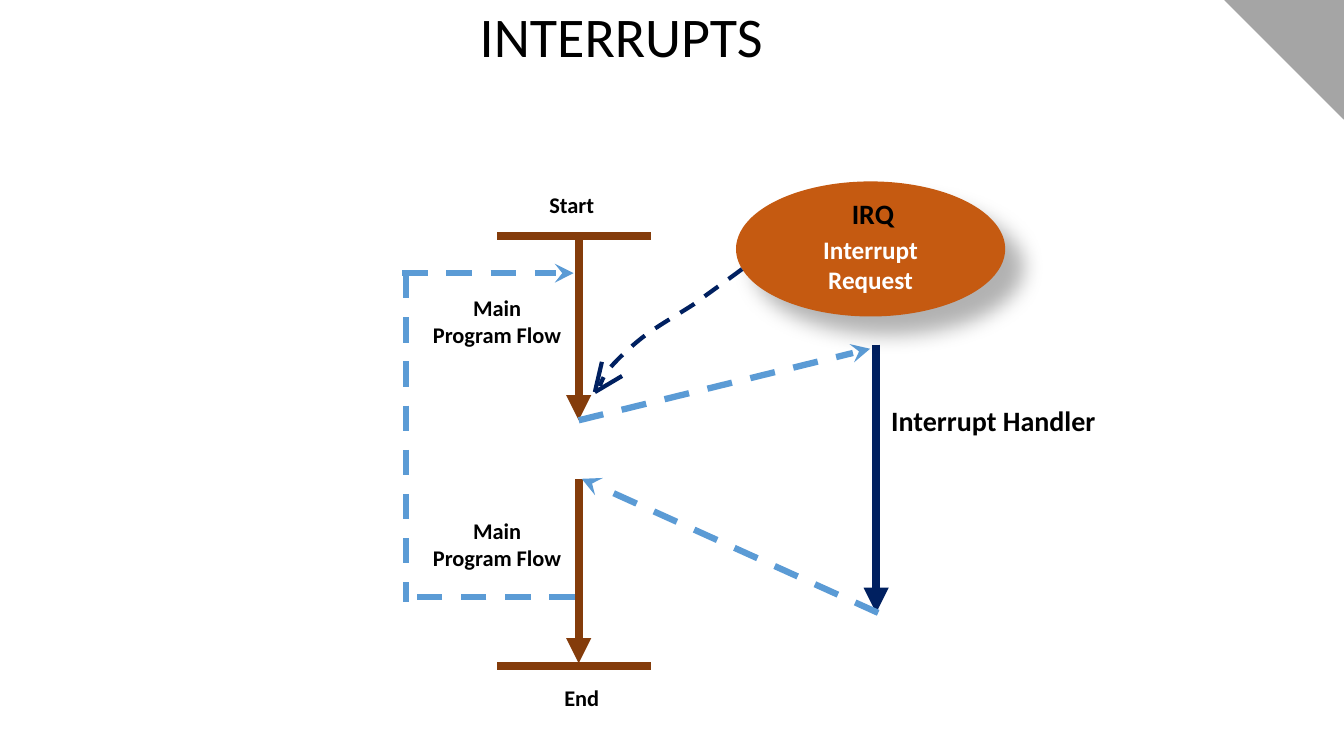
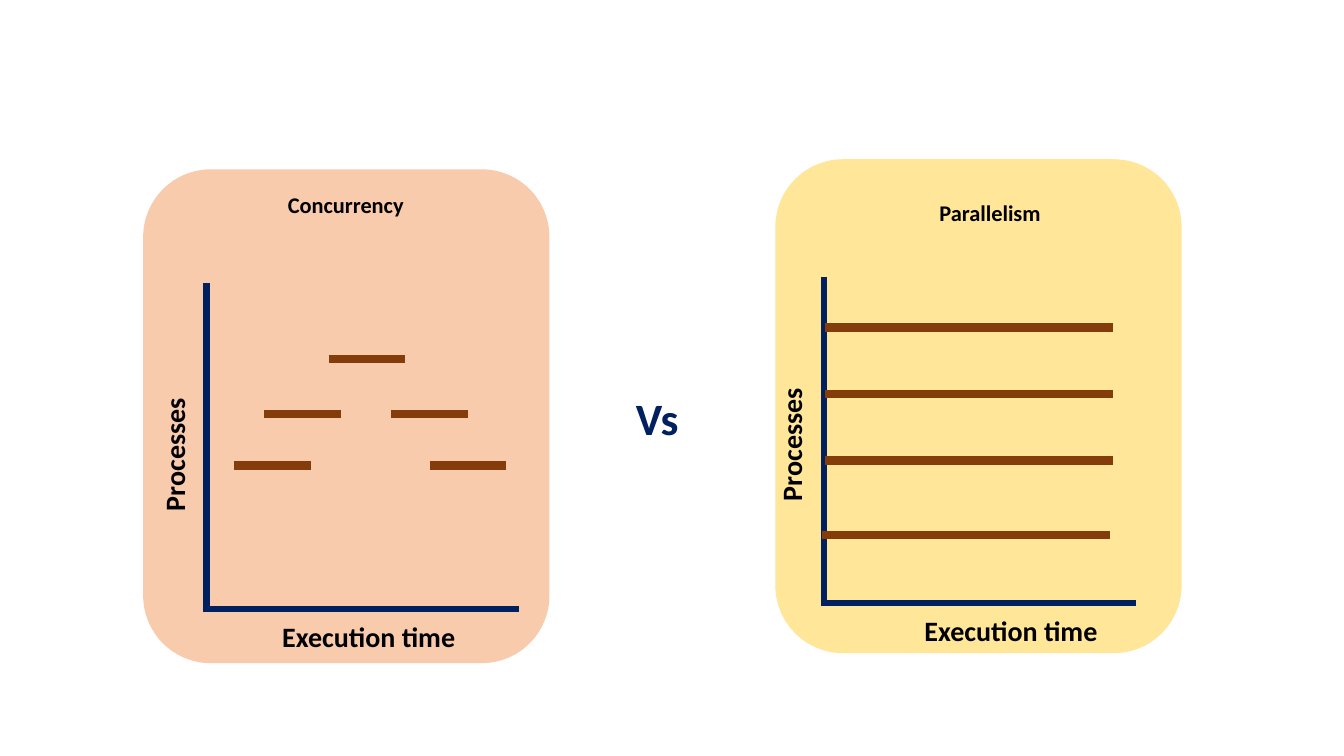
import lxml.etree
import pptx
import pptx.dml.color
import pptx.enum.dml
import pptx.enum.shapes
import pptx.enum.text
import pptx.oxml.ns
import pptx.util

Inches = pptx.util.Inches
SHAPES = pptx.enum.shapes.MSO_SHAPE
ALIGN = pptx.enum.text.PP_ALIGN
MIDDLE = pptx.enum.text.MSO_ANCHOR.MIDDLE

FONT = "Calibri"
BLACK, WHITE, GRAY = "000000", "FFFFFF", "A5A5A5"
NAVY, BROWN, BLUE, ORANGE = "002060", "843C0B", "5B9BD5", "C55A11"
PEACH, YELLOW = "F8CBAD", "FFE699"


def rgb(value):
    """Turn a hex string into a colour."""
    return pptx.dml.color.RGBColor.from_string(value)


def add_element(parent, tag, **attributes):
    """Append a drawing element with its attributes."""
    return lxml.etree.SubElement(parent, pptx.oxml.ns.qn(tag), attributes)


def write(paragraph, text, size, color=BLACK, bold=True):
    """Add one formatted run to a paragraph."""
    run = paragraph.add_run()
    run.text = text
    run.font.name = FONT
    run.font.size = pptx.util.Pt(size)
    run.font.bold = bold
    run.font.color.rgb = rgb(color)


def add_label(slide, box, text, size, color=BLACK, centered=False, rotation=0):
    """Place a bold label; centred labels wrap inside their box."""
    shape = slide.shapes.add_textbox(*map(Inches, box))
    shape.rotation = rotation
    frame = shape.text_frame
    frame.word_wrap = centered
    frame.auto_size = pptx.enum.text.MSO_AUTO_SIZE.SHAPE_TO_FIT_TEXT
    paragraph = frame.paragraphs[0]
    paragraph.alignment = ALIGN.CENTER if centered else ALIGN.LEFT
    write(paragraph, text, size, color)


def add_title(slide, text):
    """Write the slide title along the top edge."""
    frame = slide.shapes.add_textbox(
        Inches(4.66), Inches(-0.08), Inches(3.5), Inches(0.97)).text_frame
    frame.word_wrap = True
    frame.vertical_anchor = MIDDLE
    frame.paragraphs[0].line_spacing = 0.85
    write(frame.paragraphs[0], text, 40, bold=False)


def add_filled(slide, kind, box, color):
    """Place a flat preset shape without an outline."""
    shape = slide.shapes.add_shape(kind, *map(Inches, box))
    shape.shadow.inherit = False
    shape.fill.solid()
    shape.fill.fore_color.rgb = rgb(color)
    shape.line.fill.background()
    return shape


def style_line(line, color, width, dashed=False):
    """Set the colour, width and dash of a line."""
    line.color.rgb = rgb(color)
    line.width = pptx.util.Pt(width)
    if dashed:
        line.dash_style = pptx.enum.dml.MSO_LINE.DASH


def add_line(slide, start, end, color, width, dashed=False, arrow=None):
    """Draw a straight line, with an optional arrowhead at its end."""
    connector = slide.shapes.add_connector(
        pptx.enum.shapes.MSO_CONNECTOR.STRAIGHT, *map(Inches, (*start, *end)))
    style_line(connector.line, color, width, dashed)
    if arrow:
        add_element(connector.line._get_or_add_ln(), "a:tailEnd", type=arrow)
    add_element(connector._element.spPr, "a:effectLst")


def bezier_points(start, curves, steps=8):
    """List the points along a chain of cubic curves."""
    points = [start]
    for first, second, end in curves:
        for step in range(1, steps + 1):
            t = step / steps
            weights = ((1 - t) ** 3, 3 * t * (1 - t) ** 2, 3 * t * t * (1 - t), t ** 3)
            corners = (start, first, second, end)
            points.append(tuple(
                sum(weight * corner[axis] for weight, corner in zip(weights, corners))
                for axis in (0, 1)))
        start = end
    return points


def add_corner(slide):
    """Fill the top right corner with a triangle."""
    size = 1.18
    corner = add_filled(slide, SHAPES.RIGHT_TRIANGLE, (13.33 - size, 0, size, size), GRAY)
    corner.rotation = 180
    style_line(corner.line, GRAY, 1)


def add_main_flow(slide, left, top):
    """Draw the main program from start to end, with its return loop."""
    flow = left + 1.75
    for bar_top in (top + 0.49, top + 4.76):
        add_line(slide, (flow - 0.81, bar_top), (flow + 0.72, bar_top), BROWN, 6)
    for segment_top, label_top in ((0.49, 1.02), (2.9, 3.23)):
        add_line(slide, (flow, top + segment_top), (flow, top + segment_top + 1.83),
                 BROWN, 6, arrow="triangle")
        add_label(slide, (left + 0.19, top + label_top, 1.5, 0.64),
                  "Main Program Flow", 16, centered=True)
    add_line(slide, (flow - 0.04, top + 4.07), (left + 0.05, top + 4.07), BLUE, 4.5, True)
    add_line(slide, (left + 0.04, top + 0.86), (left + 0.04, top + 4.12), BLUE, 4.5, True)
    add_line(slide, (left, top + 0.86), (flow - 0.05, top + 0.86), BLUE, 4.5, True, "stealth")
    add_label(slide, (left + 1.29, top, 0.78, 0.37), "Start", 16, centered=True)
    add_label(slide, (left + 1.39, top + 4.89, 0.78, 0.37), "End", 16, centered=True)


def add_handler(slide, left, top):
    """Draw the interrupt handler and the jumps to and from it."""
    add_line(slide, (left, top), (left, top + 2.66), NAVY, 6, arrow="triangle")
    add_label(slide, (left + 0.05, top + 0.53, 2.25, 0.44), "Interrupt Handler", 20)
    add_line(slide, (left - 2.95, top + 0.75), (left - 0.06, top + 0.04),
             BLUE, 4.5, True, "stealth")
    add_line(slide, (left + 0.02, top + 2.66), (left - 2.92, top + 1.33),
             BLUE, 4.5, True, "stealth")


def add_request(slide, left, top):
    """Draw the request ellipse and its curved arrow."""
    ellipse = add_filled(slide, SHAPES.OVAL, (left, top, 2.67, 1.34), ORANGE)
    effects = ellipse._element.spPr.find(pptx.oxml.ns.qn("a:effectLst"))
    shadow = add_element(effects, "a:outerShdw", blurRad=str(pptx.util.Pt(15)),
                         dist=str(pptx.util.Pt(18)), dir="2700000", algn="tl",
                         rotWithShape="0")
    shade = add_element(shadow, "a:srgbClr", val=BLACK)
    add_element(shade, "a:alpha", val="30000")
    frame = ellipse.text_frame
    frame.word_wrap = True
    frame.vertical_anchor = MIDDLE
    frame.margin_top, frame.margin_bottom = Inches(0.3), 0
    frame.paragraphs[0].alignment = ALIGN.CENTER
    write(frame.paragraphs[0], "Interrupt Request", 18, WHITE)
    add_label(slide, (left + 1.05, top + 0.1, 0.63, 0.44), "IRQ", 20)

    points = bezier_points((0.06, 0.87), [
        ((-0.1, 0.99), (-0.26, 1.1), (-0.42, 1.22)),
        ((-0.59, 1.33), (-0.79, 1.44), (-0.93, 1.55)),
        ((-1.07, 1.66), (-1.18, 1.77), (-1.25, 1.85)),
        ((-1.32, 1.93), (-1.35, 2.03), (-1.35, 2.03))])
    placed = [(Inches(left + x), Inches(top + y)) for x, y in points]
    builder = slide.shapes.build_freeform(*placed[0])
    builder.add_line_segments(placed[1:], close=False)
    curve = builder.convert_to_shape()
    curve.shadow.inherit = False
    curve.fill.background()
    style_line(curve.line, NAVY, 3, True)
    for x, y in ((-1.33, 1.79), (-1.13, 1.93)):
        add_line(slide, (left + x, top + y), (left - 1.4, top + 2.09), NAVY, 3)


def add_panel(slide, box, color, name, name_at, axis_at, time_offset, bar_length, bars):
    """Draw a rounded panel with two axes and bars placed from the axis top."""
    left, top = box[:2]
    x, y = left + axis_at[0], top + axis_at[1]
    add_filled(slide, SHAPES.ROUNDED_RECTANGLE, box, color)
    add_label(slide, (left + name_at[0], top + name_at[1], 1.46, 0.37), name, 16, centered=True)
    add_label(slide, (x - 0.99, top + 2.6, 1.34, 0.44), "Processes", 20, rotation=270)
    add_label(slide, (x + time_offset, y + 3.29, 1.94, 0.44), "Execution time", 20)
    add_line(slide, (x, y), (x, y + 3.26), NAVY, 4.5)
    add_line(slide, (x - 0.02, y + 3.23), (x + 3.1, y + 3.23), NAVY, 4.5)
    for bar_x, bar_y in bars:
        add_line(slide, (x + bar_x, y + bar_y), (x + bar_x + bar_length, y + bar_y), BROWN, 6)


def build_interrupts(slide):
    """Compose the slide on interrupts."""
    add_title(slide, "INTERRUPTS")
    add_corner(slide)
    add_main_flow(slide, 3.99, 1.85)
    add_handler(slide, 8.69, 3.42)
    add_request(slide, 7.3, 1.8)


def build_comparison(slide):
    """Compose the slide comparing concurrency with parallelism."""
    add_panel(slide, (1.42, 1.68, 4.03, 4.9), PEACH, "Concurrency", (1.28, 0.17),
              (0.63, 1.13), 0.65, 0.76,
              [(1.21, 0.75), (0.57, 1.3), (1.83, 1.3), (0.27, 1.81), (2.21, 1.81)])
    add_panel(slide, (7.69, 1.58, 4.03, 4.9), YELLOW, "Parallelism", (1.4, 0.35),
              (0.48, 1.17), 0.9, 2.86,
              [(0.01, 0.5), (0.01, 1.16), (0.01, 1.82), (-0.02, 2.56)])
    add_label(slide, (6.21, 3.83, 0.63, 0.64), "Vs", 32, NAVY)


def main():
    """Build and save the presentation."""
    presentation = pptx.Presentation()
    presentation.slide_width = Inches(13.33)
    presentation.slide_height = Inches(7.5)
    for build in (build_interrupts, build_comparison):
        build(presentation.slides.add_slide(presentation.slide_layouts[6]))
    presentation.save("out.pptx")


if __name__ == "__main__":
    main()
